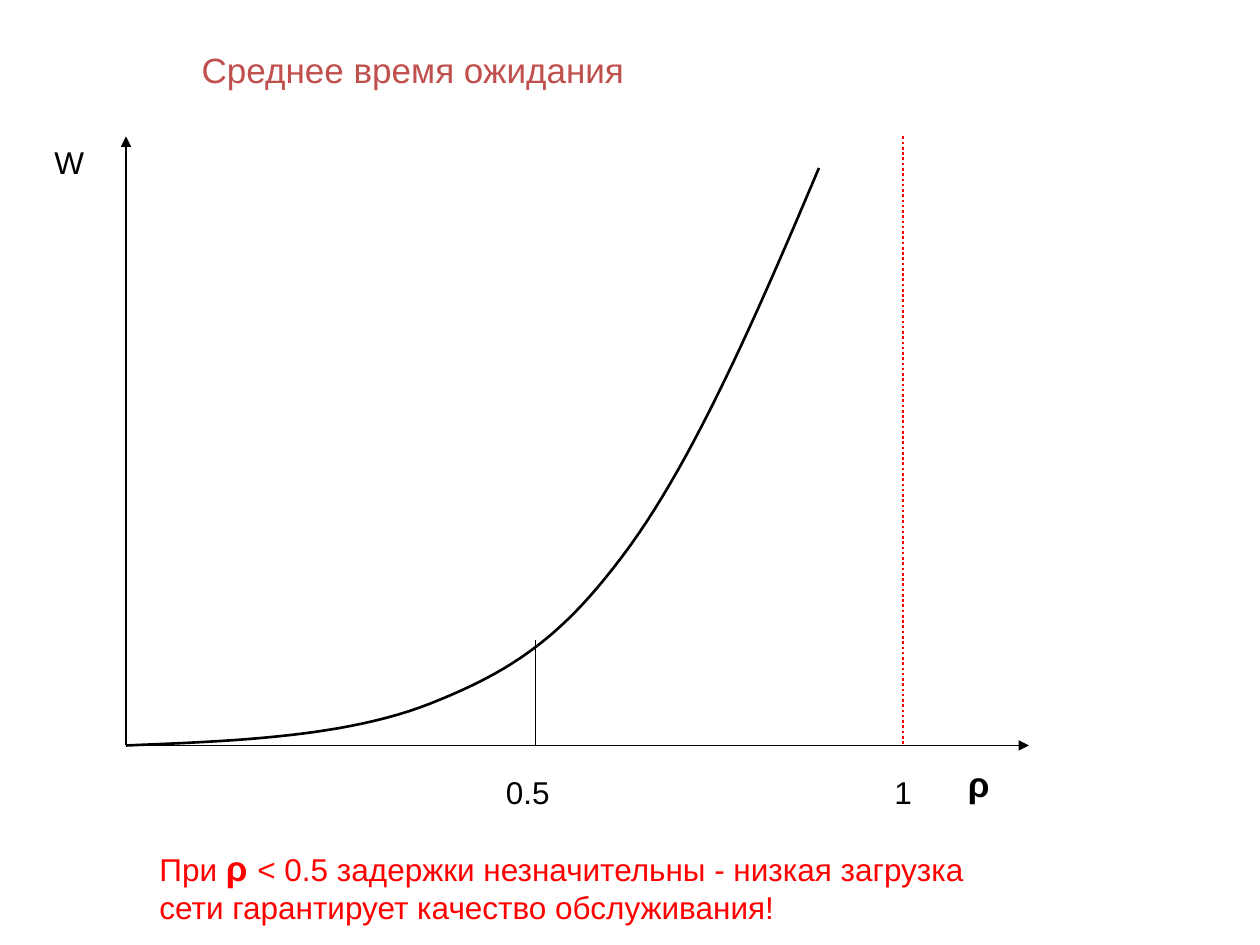
"""Build a slide plotting average waiting time against network load."""
import pptx
import pptx.dml.color
import pptx.enum.dml
import pptx.enum.shapes
import pptx.enum.text
import pptx.oxml
import pptx.oxml.ns
import pptx.util

Pt = pptx.util.Pt
BLACK = pptx.dml.color.RGBColor(0, 0, 0)
RED = pptx.dml.color.RGBColor(255, 0, 0)
BRICK = pptx.dml.color.RGBColor(0xC0, 0x50, 0x4D)
FONT = "Arial"

LEFT, RIGHT, TOP, BASE = 72, 588, 78, 426
HALF_LOAD, FULL_LOAD = 306, 516

TITLE = ((108, 24, 522, 31.5), BRICK, [("Среднее время ожидания", 20, False)])
LABELS = [
    ((546, 432, 24, 31.5), BLACK, [("ρ", 20, True)]),
    ((504, 438, 36, 29), BLACK, [("1", 18, False)]),
    ((24, 78, 36, 29), BLACK, [("W", 18, False)]),
    ((282, 438, 72, 29), BLACK, [("0.5", 18, False)]),
    ((84, 480, 480, 53), RED, [
        ("При ", 18, False),
        ("ρ ", 20, True),
        ("< 0.5 задержки незначительны - низкая загрузка "
         "сети гарантирует качество обслуживания!", 18, False),
    ]),
]
LINES = [
    ((LEFT, BASE), (LEFT, TOP), BLACK, 1, None, True),
    ((LEFT, BASE), (RIGHT, BASE), BLACK, 1, None, True),
    ((FULL_LOAD, TOP), (FULL_LOAD, BASE), RED, 1.5,
     pptx.enum.dml.MSO_LINE.ROUND_DOT, False),
    ((HALF_LOAD, 366), (HALF_LOAD, BASE), BLACK, 0.75, None, False),
]
CURVE = [
    ((LEFT, BASE), (135, 423.5), (198, 421), (246, 402)),
    ((246, 402), (294, 383), (323, 363), (360, 312)),
    ((360, 312), (397, 261), (433, 179), (468, 96)),
]
STEPS = 24


def write_text(box, place, color, spans):
    box.left, box.top, box.width, box.height = map(Pt, place)
    frame = box.text_frame
    frame.word_wrap = True
    frame.auto_size = pptx.enum.text.MSO_AUTO_SIZE.NONE
    frame.vertical_anchor = pptx.enum.text.MSO_ANCHOR.TOP
    para = frame.paragraphs[0]
    para.alignment = pptx.enum.text.PP_ALIGN.LEFT
    for text, size, bold in spans:
        span = para.add_run()
        span.text = text
        span.font.name = FONT
        span.font.size = Pt(size)
        span.font.bold = bold
        span.font.color.rgb = color


def draw_line(page, start, end, color, width, dash, arrow):
    connector = page.shapes.add_connector(
        pptx.enum.shapes.MSO_CONNECTOR.STRAIGHT, *map(Pt, start + end))
    connector.line.color.rgb = color
    connector.line.width = Pt(width)
    if dash:
        connector.line.dash_style = dash
    if arrow:
        tail = pptx.oxml.parse_xml(
            f'<a:tailEnd {pptx.oxml.ns.nsdecls("a")} type="triangle"/>')
        connector.line._get_or_add_ln().append(tail)
    connector._element.spPr.append(
        pptx.oxml.parse_xml(f'<a:effectLst {pptx.oxml.ns.nsdecls("a")}/>'))


def bezier(points, t):
    weights = ((1 - t) ** 3, 3 * t * (1 - t) ** 2, 3 * t * t * (1 - t), t ** 3)
    return tuple(Pt(sum(w * v for w, v in zip(weights, axis)))
                 for axis in zip(*points))


def draw_curve(page):
    builder = page.shapes.build_freeform(Pt(LEFT), Pt(BASE))
    builder.add_line_segments(
        [bezier(part, step / STEPS)
         for part in CURVE for step in range(1, STEPS + 1)], close=False)
    curve = builder.convert_to_shape()
    curve.shadow.inherit = False
    curve.fill.background()
    curve.line.color.rgb = BLACK
    curve.line.width = Pt(1.5)


def main():
    deck = pptx.Presentation()
    deck.slide_width, deck.slide_height = Pt(720), Pt(540)
    page = deck.slides.add_slide(deck.slide_layouts[5])
    write_text(page.shapes.title, *TITLE)
    for line in LINES:
        draw_line(page, *line)
    draw_curve(page)
    for place, color, spans in LABELS:
        box = page.shapes.add_textbox(*map(Pt, place))
        write_text(box, place, color, spans)
    deck.save("out.pptx")


if __name__ == "__main__":
    main()
